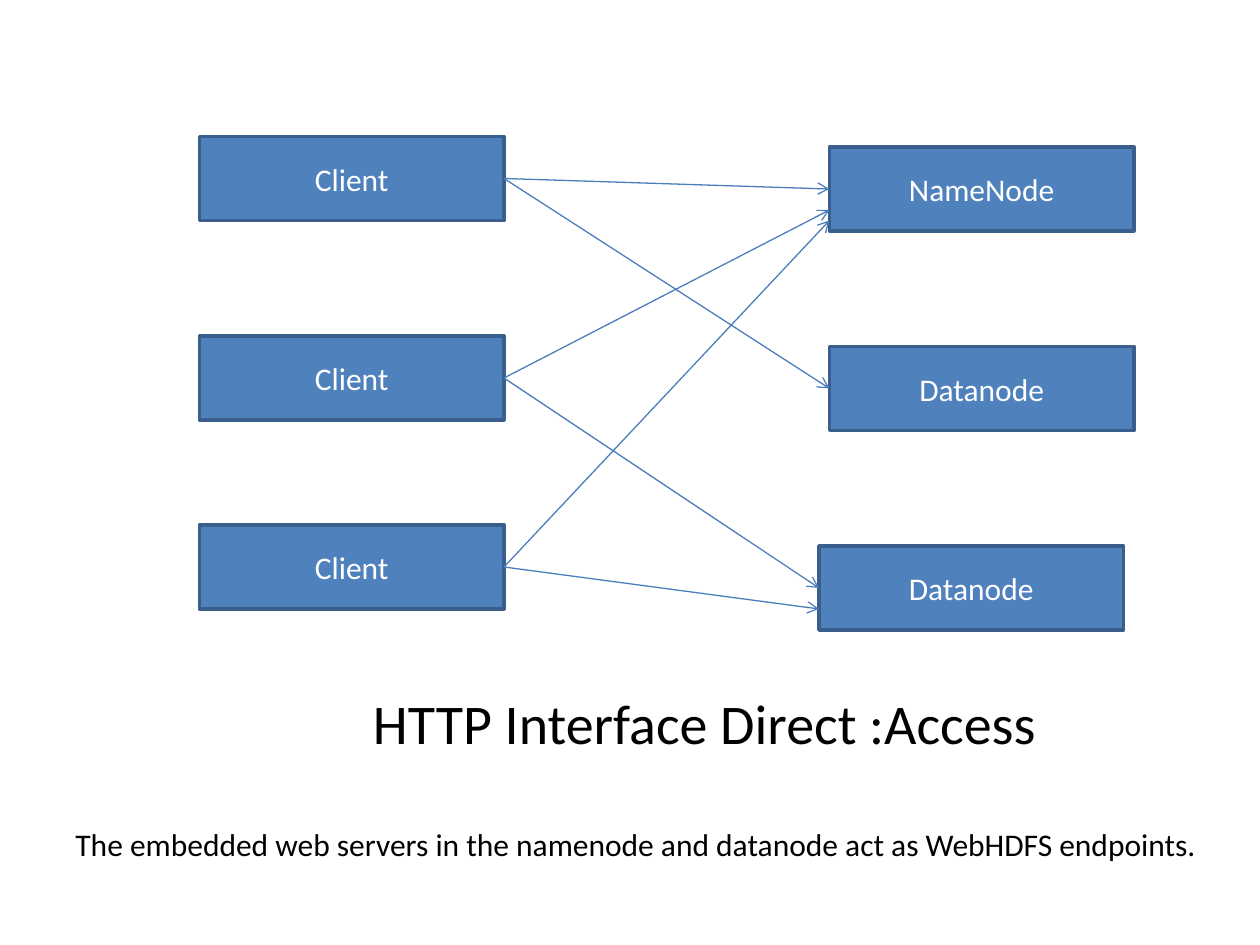
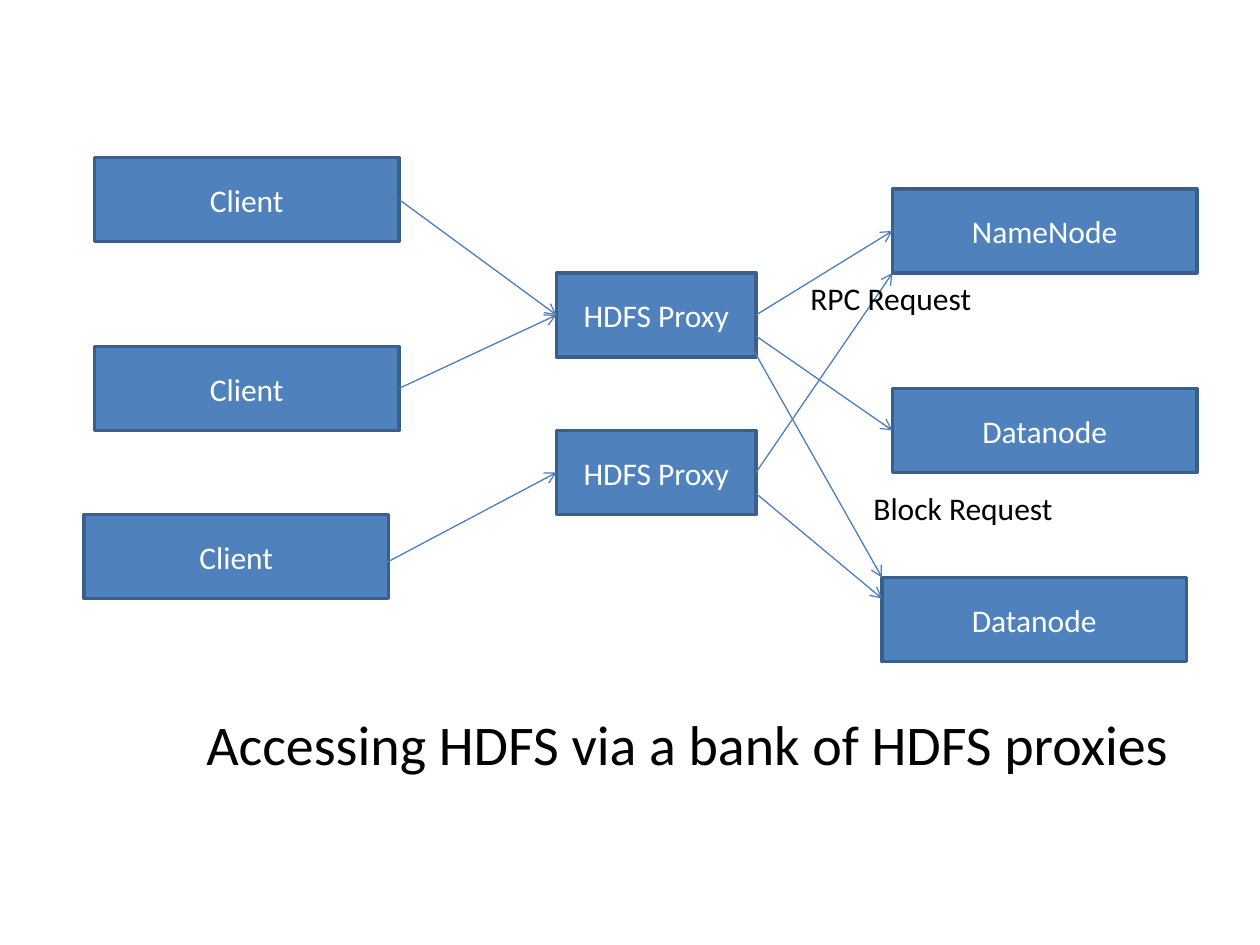
import pptx
import pptx.dml.color
import pptx.enum.shapes
import pptx.enum.text
import pptx.oxml
import pptx.util
from lxml import etree

Pt = pptx.util.Pt
RGBColor = pptx.dml.color.RGBColor
Align = pptx.enum.text.PP_ALIGN
Anchor = pptx.enum.text.MSO_ANCHOR

BLUE = RGBColor(0x4F, 0x81, 0xBD)
BORDER = RGBColor(0x3A, 0x5F, 0x8C)
ARROW = RGBColor(0x4B, 0x7E, 0xBC)
WHITE = RGBColor(0xFF, 0xFF, 0xFF)
BLACK = RGBColor(0x00, 0x00, 0x00)

TITLE_ONLY = 5
NODE_WIDTH, PROXY_WIDTH, BOX_HEIGHT = 174, 114, 48
LEFT_SIDE, RIGHT_SIDE = 1, 3


class Diagram:
    """Holds the shared style and the slide being drawn."""

    body_font = {"name": "Calibri", "size": Pt(18), "bold": False}
    title_font = body_font | {"size": Pt(32)}

    def __init__(self):
        self.deck = pptx.Presentation()
        self.deck.slide_width, self.deck.slide_height = Pt(720), Pt(540)
        self.page = None

    def new_page(self, title, left, top, width):
        self.page = self.deck.slides.add_slide(self.deck.slide_layouts[TITLE_ONLY])
        box = self.page.shapes.title
        place = {"left": left, "top": top, "width": width, "height": 46}
        for name, value in place.items():
            setattr(box, name, Pt(value))
        self.fill_text(box, title, self.title_font, BLACK, Align.CENTER, Anchor.TOP)

    def fill_text(self, box, text, font, color, alignment, anchor, wrap=False):
        frame = box.text_frame
        layout = {"word_wrap": wrap, "vertical_anchor": anchor,
                  "auto_size": pptx.enum.text.MSO_AUTO_SIZE.NONE}
        for name, value in layout.items():
            setattr(frame, name, value)
        para = frame.paragraphs[0]
        para.alignment = alignment
        span = para.add_run()
        span.text = text
        for name, value in font.items():
            setattr(span.font, name, value)
        span.font.color.rgb = color

    def box(self, text, left, top, width=NODE_WIDTH):
        box = self.page.shapes.add_shape(
            pptx.enum.shapes.MSO_SHAPE.RECTANGLE,
            Pt(left), Pt(top), Pt(width), Pt(BOX_HEIGHT))
        box.shadow.inherit = False
        box.fill.solid()
        box.fill.fore_color.rgb = BLUE
        box.line.color.rgb = BORDER
        box.line.width = Pt(2)
        self.fill_text(box, text, self.body_font, WHITE, Align.CENTER, Anchor.MIDDLE, True)
        return box

    def label(self, text, left, top, width):
        box = self.page.shapes.add_textbox(Pt(left), Pt(top), Pt(width), Pt(29))
        self.fill_text(box, text, self.body_font, BLACK, Align.LEFT, Anchor.TOP)

    def arrow(self, start, end):
        """Each end is a box, joined at mid-side, or a free (x, y) point."""
        points = [(Pt(spot[0]), Pt(spot[1])) if isinstance(spot, tuple)
                  else (spot.left + side * spot.width, spot.top + spot.height // 2)
                  for spot, side in ((start, 1), (end, 0))]
        line = self.page.shapes.add_connector(
            pptx.enum.shapes.MSO_CONNECTOR.STRAIGHT, *points[0], *points[1])
        if not isinstance(start, tuple):
            line.begin_connect(start, RIGHT_SIDE)
        if not isinstance(end, tuple):
            line.end_connect(end, LEFT_SIDE)
        line.line.color.rgb = ARROW
        line.line.width = Pt(0.75)
        properties = line._element.spPr
        head = etree.SubElement(properties.get_or_add_ln(),
                                pptx.oxml.ns.qn("a:tailEnd"))
        head.set("type", "arrow")
        etree.SubElement(properties, pptx.oxml.ns.qn("a:effectLst"))


def direct_access(diagram):
    diagram.new_page("HTTP Interface Direct :Access", 204, 390, 397.5)

    # Clients and cluster nodes
    clients = [diagram.box("Client", 114, top) for top in (78, 192, 300)]
    name_node = diagram.box("NameNode", 474, 84)
    upper_data = diagram.box("Datanode", 474, 198)
    lower_data = diagram.box("Datanode", 468, 312)

    # Metadata requests, then data requests
    for client, target in zip(clients, (name_node, (474, 120), (474, 126))):
        diagram.arrow(client, target)
    for client, target in zip(clients, (upper_data, lower_data, (468, 348))):
        diagram.arrow(client, target)

    diagram.label("The embedded web servers in the namenode and datanode "
                  "act as WebHDFS endpoints.", 36, 468, 663)


def proxy_access(diagram):
    diagram.new_page("Accessing HDFS via a bank of HDFS proxies", 108, 402, 570)

    # Clients, proxies and cluster nodes
    first, second, _ = [diagram.box("Client", left, top)
                        for left, top in ((54, 90), (54, 198), (48, 294))]
    upper_proxy, lower_proxy = [diagram.box("HDFS Proxy", 318, top, PROXY_WIDTH)
                                for top in (156, 246)]
    name_node = diagram.box("NameNode", 510, 108)
    upper_data = diagram.box("Datanode", 510, 222)
    diagram.box("Datanode", 504, 330)

    # Requests from clients to proxies, then from proxies to nodes
    for start, end in ((first, upper_proxy),
                       (second, upper_proxy),
                       ((216, 324), lower_proxy),
                       (upper_proxy, name_node),
                       (lower_proxy, (510, 156)),
                       ((432, 192), upper_data),
                       ((426, 192), (504, 330)),
                       ((432, 282), (504, 342))):
        diagram.arrow(start, end)

    diagram.label("RPC Request", 456, 156, 107)
    diagram.label("Block Request", 492, 276, 118)


def main():
    diagram = Diagram()
    direct_access(diagram)
    proxy_access(diagram)
    diagram.deck.save("out.pptx")


if __name__ == "__main__":
    main()
